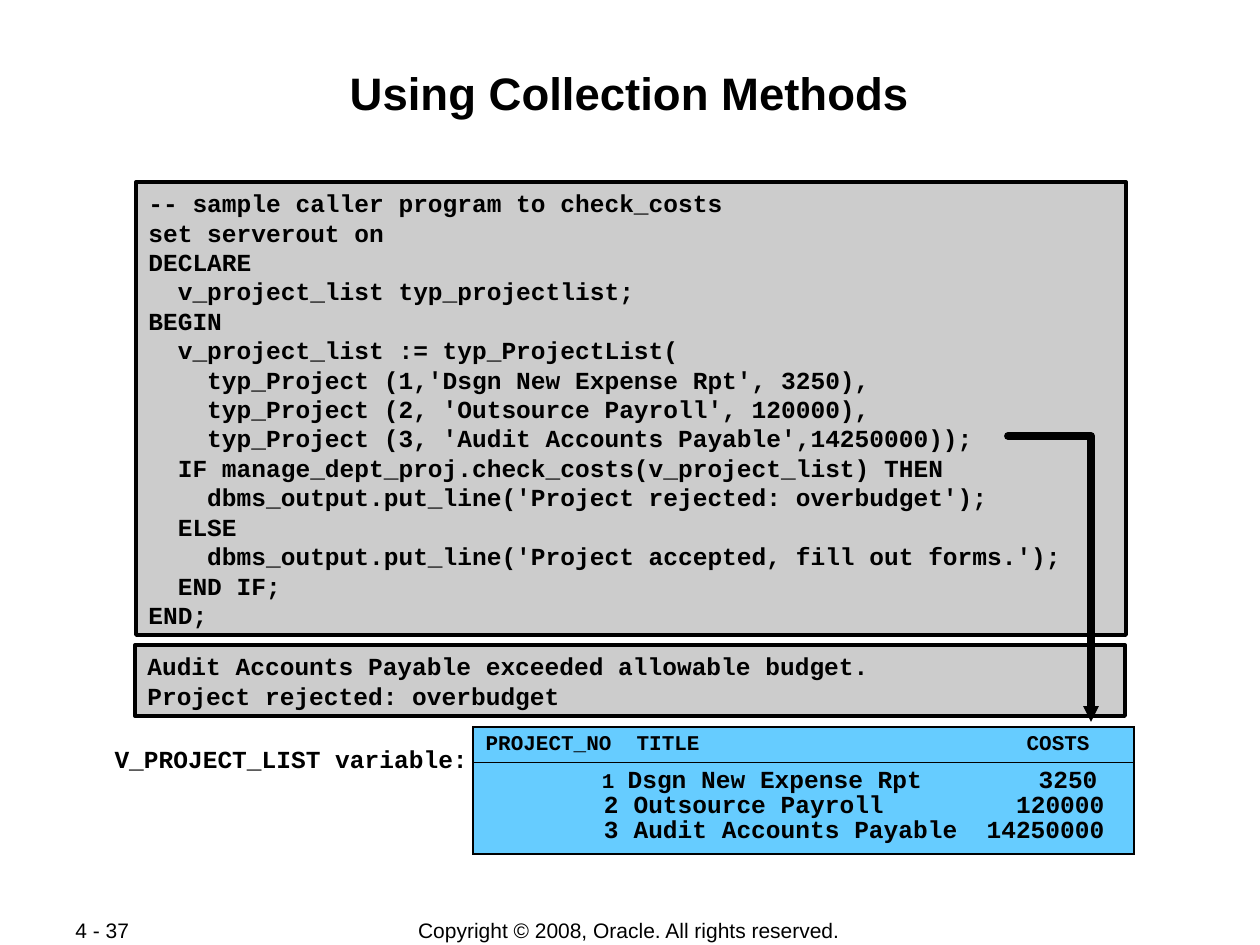
"""Build the 'Using Collection Methods' slide."""
from lxml import etree
from pptx import Presentation
from pptx import util as u
from pptx.dml.color import RGBColor
from pptx.enum import shapes, text
from pptx.oxml.ns import qn

BLACK = RGBColor(0x00, 0x00, 0x00)
GRAY = RGBColor(0xCC, 0xCC, 0xCC)
BLUE = RGBColor(0x66, 0xCC, 0xFF)
SANS, MONO = "Arial", "Courier New"
PX = 914400 / 126
CODE_PITCH = 16.8

TITLE = "Using Collection Methods"
CODE = [
    "-- sample caller program to check_costs",
    "set serverout on",
    "DECLARE",
    "  v_project_list typ_projectlist;",
    "BEGIN",
    "  v_project_list := typ_ProjectList(",
    "    typ_Project (1,'Dsgn New Expense Rpt', 3250),",
    "    typ_Project (2, 'Outsource Payroll', 120000),",
    "    typ_Project (3, 'Audit Accounts Payable',14250000));",
    "  IF manage_dept_proj.check_costs(v_project_list) THEN",
    "    dbms_output.put_line('Project rejected: overbudget');",
    "  ELSE",
    "    dbms_output.put_line('Project accepted, fill out forms.');",
    "  END IF;",
    "END;",
]
OUTPUT = [
    "Audit Accounts Payable exceeded allowable budget.",
    "Project rejected: overbudget",
]
PANELS = [(CODE, (136, 182, 990, 453)), (OUTPUT, (135, 645, 990, 71))]
LABELS = [
    ("V_PROJECT_LIST variable:", (102, 738, 379, 42), MONO, 14, True, text.PP_ALIGN.CENTER),
    ("Copyright © 2008, Oracle. All rights reserved.", (346, 917, 566, 27), SANS, 12, False,
     text.PP_ALIGN.CENTER),
    ("4 - 37", (63, 917, 134, 26), SANS, 12, False, text.PP_ALIGN.LEFT),
]
TABLE_BOX = (473, 727, 661, 127)
ROW_HEIGHTS = (35, 92)
HEADER_TABS = [(151, "l"), (604, "r")]
FIRST_TABS = [(129, "r"), (142, "l"), (612, "r")]
BODY_TABS = [(133, "r"), (148, "l"), (619, "r")]
TABLE = [
    [(HEADER_TABS, [("PROJECT_NO\tTITLE\tCOSTS", 12)])],
    [
        (FIRST_TABS, [("\t1", 12), ("\tDsgn New Expense Rpt\t3250", 14)]),
        (BODY_TABS, [("\t2\tOutsource Payroll\t120000", 14)]),
        (BODY_TABS, [("\t3\tAudit Accounts Payable\t14250000", 14)]),
    ],
]
BORDERS = [
    {"lnL": 1.08, "lnR": 1.08, "lnT": 1.08, "lnB": 0.45},
    {"lnL": 1.08, "lnR": 1.08, "lnT": 0.45, "lnB": 1.08},
]
ARROW = [(1008, 436), (1091, 436), (1091, 722)]


def emu(px):
    return u.Emu(round(px * PX))


def place(box):
    return [emu(v) for v in box]


def add_run(p, words, font, size, bold):
    r = p.add_run()
    r.text = words
    r.font.name, r.font.size, r.font.bold = font, u.Pt(size), bold
    r.font.color.rgb = BLACK


def paragraph(tf, index):
    return tf.paragraphs[0] if index == 0 else tf.add_paragraph()


def add_tabs(p, tabs):
    tab_list = etree.SubElement(p._p.get_or_add_pPr(), qn("a:tabLst"))
    for pos, align in tabs:
        etree.SubElement(tab_list, qn("a:tab"), pos=str(emu(pos)), algn=align)


def add_title(s):
    sp = s.shapes.title
    sp.left, sp.top, sp.width, sp.height = place((84, 60, 1091, 121))
    tf = sp.text_frame
    tf.vertical_anchor = text.MSO_ANCHOR.TOP
    tf.margin_left = tf.margin_right = tf.margin_bottom = emu(1)
    tf.margin_top = emu(5)
    p = tf.paragraphs[0]
    p.alignment = text.PP_ALIGN.CENTER
    add_run(p, TITLE, SANS, 26, True)


def add_panel(s, lines, box):
    sp = s.shapes.add_shape(shapes.MSO_SHAPE.RECTANGLE, *place(box))
    sp.shadow.inherit = False
    sp.fill.solid()
    sp.fill.fore_color.rgb = GRAY
    sp.line.color.rgb, sp.line.width = BLACK, u.Pt(2.25)
    tf = sp.text_frame
    tf.vertical_anchor = text.MSO_ANCHOR.TOP
    for i, line in enumerate(lines):
        p = paragraph(tf, i)
        p.alignment = text.PP_ALIGN.LEFT
        p.line_spacing = u.Pt(CODE_PITCH)
        add_run(p, line, MONO, 14, True)


def add_label(s, words, box, font, size, bold, align):
    tf = s.shapes.add_textbox(*place(box)).text_frame
    tf.word_wrap = False
    tf.vertical_anchor = text.MSO_ANCHOR.MIDDLE
    p = tf.paragraphs[0]
    p.alignment = align
    if font == MONO:
        p.line_spacing = u.Pt(CODE_PITCH)
    add_run(p, words, font, size, bold)


def add_borders(cell, borders):
    tc_pr = cell._tc.get_or_add_tcPr()
    for i, (side, width) in enumerate(borders.items()):
        ln = etree.Element(qn(f"a:{side}"), w=str(u.Pt(width)))
        fill = etree.SubElement(ln, qn("a:solidFill"))
        etree.SubElement(fill, qn("a:srgbClr"), val=str(BLACK))
        tc_pr.insert(i, ln)


def add_project_table(s):
    table = s.shapes.add_table(len(TABLE), 1, *place(TABLE_BOX)).table
    table.first_row = table.horz_banding = False
    for i, (lines, height, borders) in enumerate(zip(TABLE, ROW_HEIGHTS, BORDERS)):
        table.rows[i].height = emu(height)
        cell = table.cell(i, 0)
        cell.fill.solid()
        cell.fill.fore_color.rgb = BLUE
        add_borders(cell, borders)
        for j, (tabs, runs) in enumerate(lines):
            p = paragraph(cell.text_frame, j)
            add_tabs(p, tabs)
            p.line_spacing = 0.9
            for words, size in runs:
                add_run(p, words, MONO, size, True)


def add_arrow(s):
    builder = s.shapes.build_freeform(*ARROW[0], scale=PX)
    builder.add_line_segments(ARROW[1:], close=False)
    sp = builder.convert_to_shape()
    sp.shadow.inherit = False
    sp.fill.background()
    sp.line.color.rgb, sp.line.width = BLACK, u.Pt(4.5)
    ln = sp.line._get_or_add_ln()
    ln.set("cap", "rnd")
    etree.SubElement(ln, qn("a:round"))
    etree.SubElement(ln, qn("a:tailEnd"), type="triangle", w="sm", len="sm")


def main():
    prs = Presentation()
    prs.slide_width, prs.slide_height = u.Inches(10), u.Inches(7.5)
    s = prs.slides.add_slide(prs.slide_layouts[5])
    add_title(s)
    for lines, box in PANELS:
        add_panel(s, lines, box)
    add_project_table(s)
    for label in LABELS:
        add_label(s, *label)
    add_arrow(s)
    prs.save("out.pptx")


if __name__ == "__main__":
    main()
